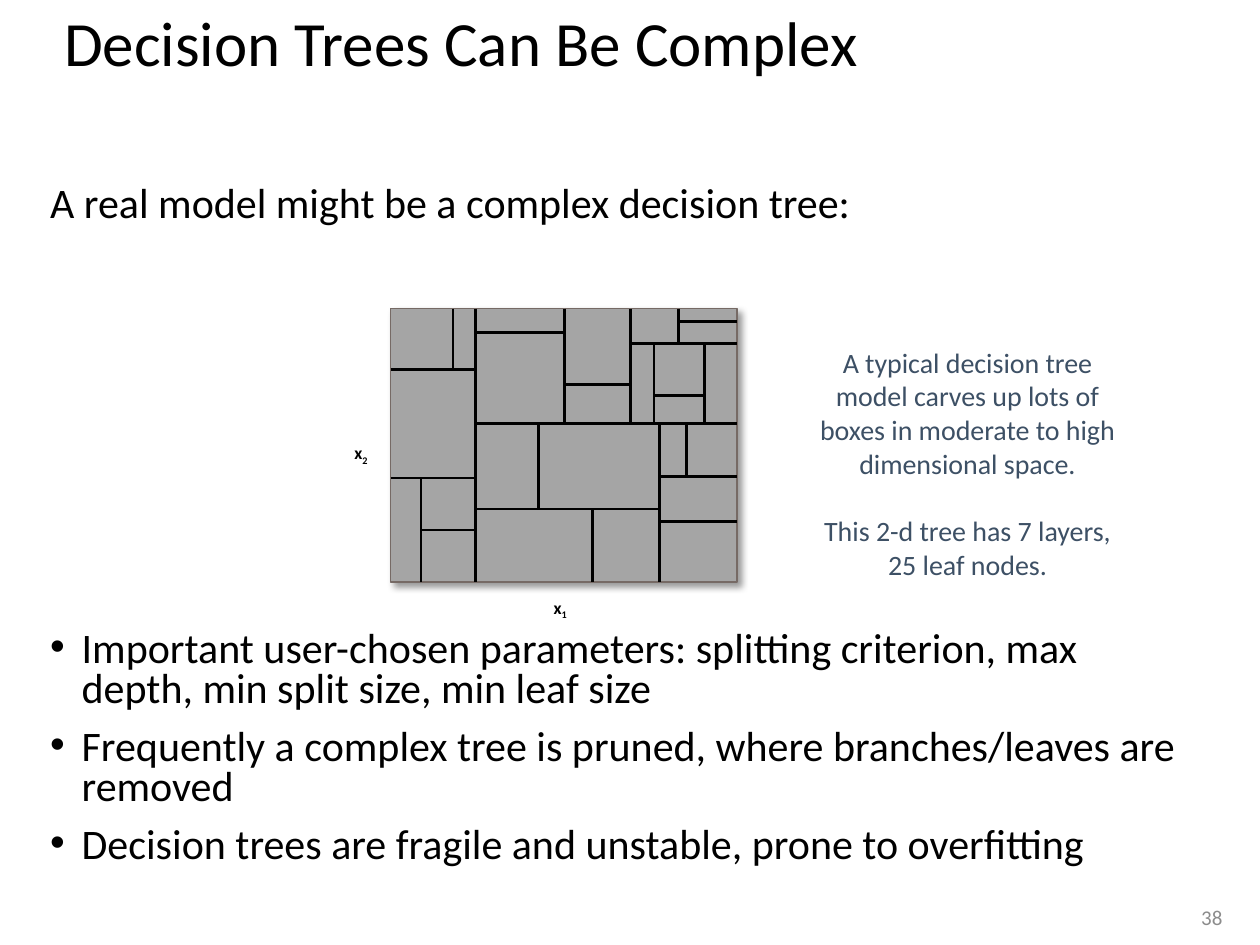
from dataclasses import dataclass

from lxml import etree
from pptx import Presentation
from pptx.dml.color import RGBColor
from pptx.enum.shapes import MSO_CONNECTOR, MSO_SHAPE
from pptx.enum.text import MSO_ANCHOR, PP_ALIGN
from pptx.oxml.ns import qn
from pptx.util import Pt

STRAIGHT = MSO_CONNECTOR.STRAIGHT
RECTANGLE = MSO_SHAPE.RECTANGLE
TOP, MIDDLE, BOTTOM = MSO_ANCHOR.TOP, MSO_ANCHOR.MIDDLE, MSO_ANCHOR.BOTTOM
LEFT, CENTER, RIGHT = PP_ALIGN.LEFT, PP_ALIGN.CENTER, PP_ALIGN.RIGHT
TITLE_ONLY = 5


@dataclass(frozen=True)
class Theme:
    font: str = "Calibri"
    ink: str = "000000"
    note: str = "3D5065"
    muted: str = "8C8C8C"
    region: str = "A5A5A5"
    region_edge: str = "766A65"
    title_size: float = 36
    body_size: float = 24
    note_size: float = 16
    number_size: float = 12
    axis_size: float = 10
    cut_width: float = 1.5
    edge_width: float = 0.75


class SlideBuilder:
    def __init__(self, deck, theme):
        self.theme = theme
        self.slide = deck.slides.add_slide(deck.slide_layouts[TITLE_ONLY])

    def format_frame(self, frame, anchor, inset=True, wrap=True):
        frame.word_wrap = wrap
        frame.vertical_anchor = anchor
        if not inset:
            frame.margin_left = frame.margin_right = 0
            frame.margin_top = frame.margin_bottom = 0

    def format_para(self, para, size, color, align, bold=False, spacing=None):
        para.alignment = align
        if spacing:
            para.line_spacing = spacing
        for span in para.runs:
            span.font.name = self.theme.font
            span.font.size = Pt(size)
            span.font.bold = bold
            span.font.color.rgb = RGBColor.from_string(color)

    def title(self, text, left, top, width, height):
        box = self.slide.shapes.title
        box.left, box.top, box.width, box.height = map(Pt, (left, top, width, height))
        box.text_frame.text = text
        self.format_frame(box.text_frame, MIDDLE)
        self.format_para(box.text_frame.paragraphs[0], self.theme.title_size,
                         self.theme.ink, LEFT, spacing=0.85)

    def text(self, lines, left, top, width, height, size, color,
             align=LEFT, anchor=TOP, inset=True, wrap=True, bold=False, spacing=None):
        box = self.slide.shapes.add_textbox(*map(Pt, (left, top, width, height)))
        frame = box.text_frame
        frame.text = "\n".join(lines)
        self.format_frame(frame, anchor, inset, wrap)
        for para in frame.paragraphs:
            self.format_para(para, size, color, align, bold, spacing)
        return frame.paragraphs

    def bullet(self, para, indent):
        properties = para._p.get_or_add_pPr()
        properties.set("marL", str(Pt(indent)))
        properties.set("indent", str(-Pt(indent)))
        etree.SubElement(properties, qn("a:buFont"), typeface="Arial")
        etree.SubElement(properties, qn("a:buChar"), char="•")

    def axis_label(self, letter, index, left, top):
        para = self.text([letter], left, top, 9.4, 12.2, self.theme.axis_size,
                         self.theme.ink, CENTER, BOTTOM, inset=False, wrap=False)[0]
        subscript = para.add_run()
        subscript.text = index
        self.format_para(para, self.theme.axis_size, self.theme.ink, CENTER, bold=True)
        subscript._r.get_or_add_rPr().set("baseline", "-25000")

    def group(self):
        return self.slide.shapes.add_group_shape().shapes

    def region(self, shapes, left, top, right, bottom):
        box = shapes.add_shape(RECTANGLE, *map(Pt, (left, top, right - left, bottom - top)))
        box.fill.solid()
        box.fill.fore_color.rgb = RGBColor.from_string(self.theme.region)
        box.line.color.rgb = RGBColor.from_string(self.theme.region_edge)
        box.line.width = Pt(self.theme.edge_width)
        box.shadow.inherit = False
        effects = box._element.spPr.find(qn("a:effectLst"))
        shadow = etree.SubElement(effects, qn("a:outerShdw"), blurRad=str(Pt(4)),
                                  dist=str(Pt(3)), dir="2700000", rotWithShape="0")
        color = etree.SubElement(shadow, qn("a:srgbClr"), val=self.theme.ink)
        etree.SubElement(color, qn("a:alpha"), val="40000")

    def cut(self, shapes, start_x, start_y, end_x, end_y):
        line = shapes.add_connector(STRAIGHT, *map(Pt, (start_x, start_y, end_x, end_y)))
        line.line.color.rgb = RGBColor.from_string(self.theme.ink)
        line.line.width = Pt(self.theme.cut_width)
        etree.SubElement(line._element.spPr, qn("a:effectLst"))


def draw_partition(page):
    left, top, right, bottom = 223.2, 176.4, 421.2, 332.6
    trunk, center, lower_right = 271.8, 241.9, 376.9
    upper_mid, upper_right = 322.6, 360.4
    upper_shelf, lower_shelf = 196.2, 290.9
    left_top, left_low = 211, 273.2
    vertical_cuts = [
        (trunk, top, bottom),
        (upper_mid, top, center),
        (upper_right, top, center),
        (lower_right, center, bottom),
        (258.8, top, left_top),
        (240.5, left_low, bottom),
        (307.8, center, lower_shelf),
        (338.4, lower_shelf, bottom),
        (387.7, top, upper_shelf),
        (373.7, upper_shelf, center),
        (402.5, upper_shelf, center),
        (392.4, center, 272.2),
    ]
    horizontal_cuts = [
        (center, trunk, right),
        (left_top, left, trunk),
        (left_low, left, trunk),
        (302.8, 240.5, trunk),
        (190.1, trunk, upper_mid),
        (219.6, upper_mid, upper_right),
        (upper_shelf, upper_right, right),
        (183.6, 387.7, right),
        (226.1, 373.7, 402.5),
        (lower_shelf, trunk, lower_right),
        (272.2, lower_right, right),
        (298.1, lower_right, right),
    ]
    shapes = page.group()
    page.region(shapes, left, top, right, bottom)
    for x, start, end in vertical_cuts:
        page.cut(shapes, x, start, x, end)
    for y, start, end in horizontal_cuts:
        page.cut(shapes, start, y, end, y)


def main():
    deck = Presentation()
    deck.slide_width, deck.slide_height = Pt(720), Pt(540)
    theme = Theme()
    page = SlideBuilder(deck, theme)

    page.title("Decision Trees Can Be Complex", 29.5, 4, 661.7, 46)
    intro, *bullets = page.text([
        "A real model might be a complex decision tree:",
        "Important user-chosen parameters: splitting criterion, max depth, "
        "min split size, min leaf size",
        "Frequently a complex tree is pruned, where branches/leaves are removed",
        "Decision trees are fragile and unstable, prone to overfitting",
    ], 21.6, 103, 661.7, 408.2, theme.body_size, theme.ink, spacing=0.8)
    intro.space_before = Pt(10)
    for para, gap in zip(bullets, (231, 10, 10)):
        para.space_before = Pt(gap)
        page.bullet(para, 18)

    draw_partition(page)
    page.axis_label("x", "1", 315.4, 342.7)
    page.axis_label("x", "2", 201.6, 254.2)

    remarks = page.text([
        "A typical decision tree model carves up lots of boxes in moderate "
        "to high dimensional space.",
        "This 2-d tree has 7 layers, 25 leaf nodes.",
    ], 465.8, 196.6, 174.2, 135.4, theme.note_size, theme.note, CENTER, BOTTOM, inset=False)
    remarks[1].space_before = Pt(19.5)

    page.text(["38"], 663.1, 514.8, 42.5, 18.7, theme.number_size, theme.muted, RIGHT, MIDDLE)
    deck.save("out.pptx")


if __name__ == "__main__":
    main()
